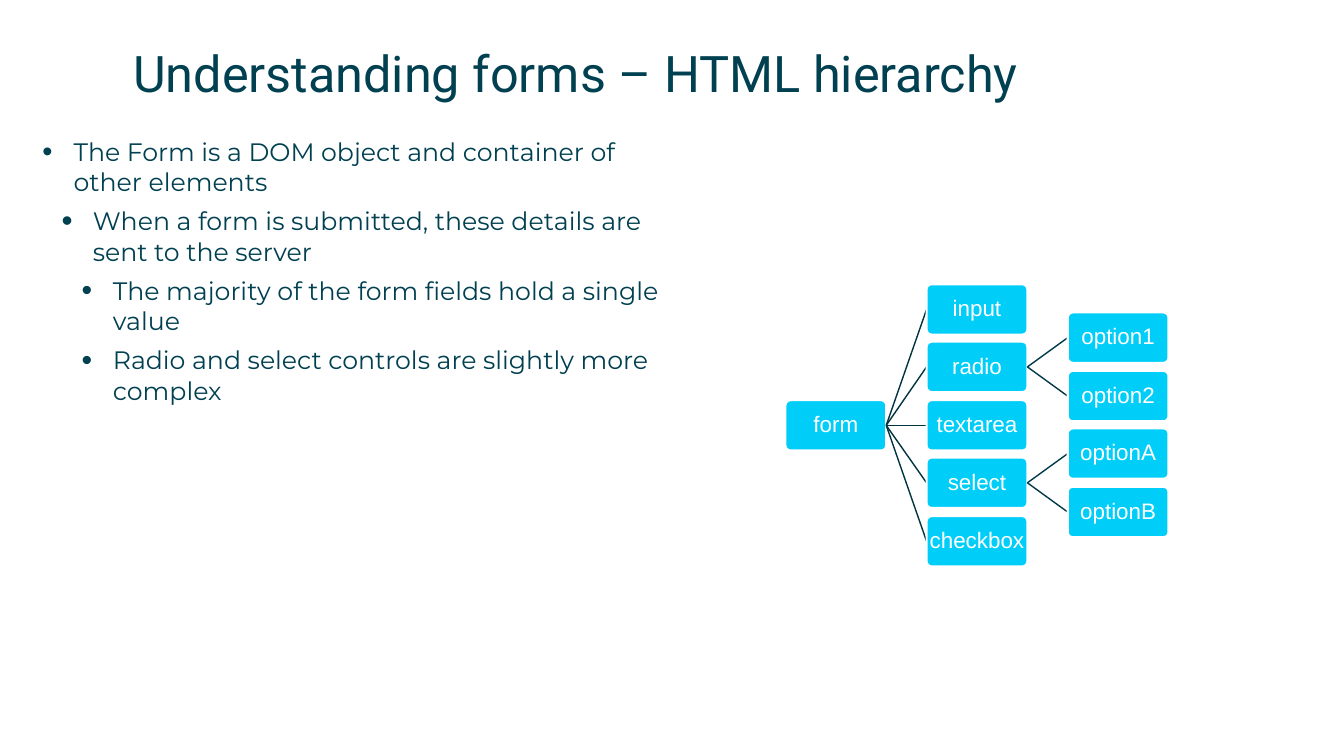
from dataclasses import dataclass
from typing import Any

from lxml import etree
from pptx import Presentation
from pptx.dml.color import RGBColor
from pptx.enum.shapes import MSO_CONNECTOR, MSO_SHAPE
from pptx.enum.text import MSO_ANCHOR, MSO_AUTO_SIZE, PP_ALIGN
from pptx.oxml.ns import qn
from pptx.util import Pt

PX = 9144
INK = RGBColor(0x00, 0x40, 0x50)
CYAN = RGBColor(0x00, 0xCE, 0xF9)
WHITE = RGBColor(0xFF, 0xFF, 0xFF)
STEM = RGBColor(0x00, 0x33, 0x40)
TWIG = RGBColor(0x00, 0x3A, 0x49)
LEFT, CENTER = PP_ALIGN.LEFT, PP_ALIGN.CENTER
TOP, MIDDLE = MSO_ANCHOR.TOP, MSO_ANCHOR.MIDDLE
FIXED = MSO_AUTO_SIZE.NONE
ROUND = MSO_SHAPE.ROUNDED_RECTANGLE
STRAIGHT = MSO_CONNECTOR.STRAIGHT

TREE_X, TREE_Y = 779, 282
STEP_X, STEP_Y = 140, 57.5
NODE_W, NODE_H = 100, 50


@dataclass(frozen=True)
class Point:
    text: str
    level: int
    indent: int
    bullet: int


@dataclass(frozen=True)
class Node:
    text: str
    col: int
    row: float
    root: str = ""

    @property
    def left(self) -> int:
        return TREE_X + STEP_X * self.col

    @property
    def top(self) -> int:
        return TREE_Y + int(STEP_Y * self.row)

    @property
    def mid(self) -> int:
        return self.top + NODE_H // 2


POINTS = [
    Point("The Form is a DOM object and container of other elements", 0, 31, 115),
    Point("When a form is submitted, these details are sent to the server", 1, 50, 125),
    Point("The majority of the form fields hold a single value", 2, 70, 120),
    Point("Radio and select controls are slightly more complex", 2, 70, 120),
]
NODES = [
    Node("form", 0, 2),
    Node("input", 1, 0, "form"),
    Node("radio", 1, 1, "form"),
    Node("option1", 2, 0.5, "radio"),
    Node("option2", 2, 1.5, "radio"),
    Node("textarea", 1, 2, "form"),
    Node("select", 1, 3, "form"),
    Node("optionA", 2, 2.5, "select"),
    Node("optionB", 2, 3.5, "select"),
    Node("checkbox", 1, 4, "form"),
]


def apply(item: Any, values: dict[str, Any]) -> None:
    for name, value in values.items():
        setattr(item, name, value)


def place(item: Any, left: int, top: int, width: int, height: int) -> None:
    apply(item, {"left": left * PX, "top": top * PX,
                 "width": width * PX, "height": height * PX})


def set_frame(frame: Any, inset: int, anchor: Any, wrap: bool) -> None:
    sides = ("left", "top", "right", "bottom")
    apply(frame, {f"margin_{side}": inset * PX for side in sides})
    apply(frame, {"vertical_anchor": anchor, "word_wrap": wrap, "auto_size": FIXED})


def write(para: Any, text: str, face: str, size: int, color: RGBColor,
          values: dict[str, Any]) -> None:
    apply(para, values)
    run = para.add_run()
    run.text = text
    apply(run.font, {"name": face, "size": Pt(size)})
    run.font.color.rgb = color


def add_bullet(para: Any, indent: int, size: int) -> None:
    props = para._p.get_or_add_pPr()
    for name, value in {"marL": indent, "indent": -31}.items():
        props.set(name, str(value * PX))
    etree.SubElement(props, qn("a:buSzPct")).set("val", str(size * 1000))
    etree.SubElement(props, qn("a:buFont")).set("typeface", "Arial")
    etree.SubElement(props, qn("a:buChar")).set("char", "•")


def add_title(slide: Any) -> None:
    title = slide.shapes.title
    place(title, 132, 42, 1159, 57)
    set_frame(title.text_frame, 0, TOP, True)
    write(title.text_frame.paragraphs[0], "Understanding forms – HTML hierarchy",
          "Roboto", 36, INK, {"alignment": LEFT})


def add_list(slide: Any) -> None:
    body = slide.placeholders[1]
    place(body, 42, 135, 615, 573)
    frame = body.text_frame
    set_frame(frame, 0, TOP, True)
    for i, point in enumerate(POINTS):
        para = frame.add_paragraph() if i else frame.paragraphs[0]
        add_bullet(para, point.indent, point.bullet)
        write(para, point.text, "Montserrat", 18, INK,
              {"level": point.level, "space_before": Pt(0), "space_after": Pt(6.5)})


def add_link(slide: Any, root: Node, node: Node) -> None:
    ends = (root.left + NODE_W, root.mid, node.left, node.mid)
    link = slide.shapes.add_connector(STRAIGHT, *(end * PX for end in ends))
    link.line.color.rgb = TWIG if root.col else STEM
    link.line.width = Pt(1)
    etree.SubElement(link._element.spPr, qn("a:effectLst"))


def add_node(slide: Any, node: Node) -> None:
    area = (node.left, node.top, NODE_W, NODE_H)
    box = slide.shapes.add_shape(ROUND, *(side * PX for side in area))
    box.adjustments[0] = 0.1
    box.shadow.inherit = False
    box.fill.solid()
    box.fill.fore_color.rgb = CYAN
    box.line.color.rgb = WHITE
    box.line.width = Pt(1.5)
    set_frame(box.text_frame, 1, MIDDLE, False)
    write(box.text_frame.paragraphs[0], node.text, "Arial", 16, WHITE,
          {"alignment": CENTER, "line_spacing": 0.9})


def main() -> None:
    deck = Presentation()
    apply(deck, {"slide_width": 1333 * PX, "slide_height": 750 * PX})
    slide = deck.slides.add_slide(deck.slide_layouts[1])
    add_title(slide)
    add_list(slide)
    roots = {node.text: node for node in NODES}
    for node in NODES:
        if node.root:
            add_link(slide, roots[node.root], node)
        add_node(slide, node)
    deck.save("out.pptx")


if __name__ == "__main__":
    main()
